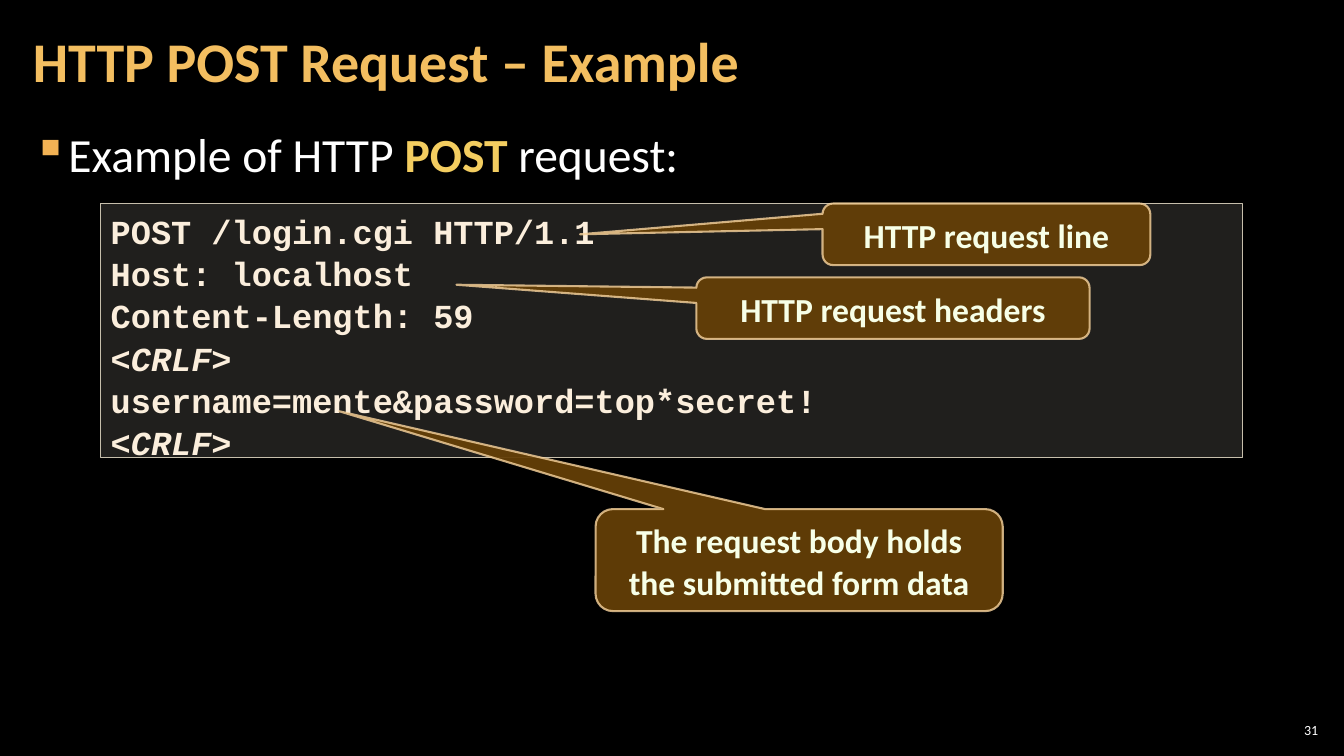
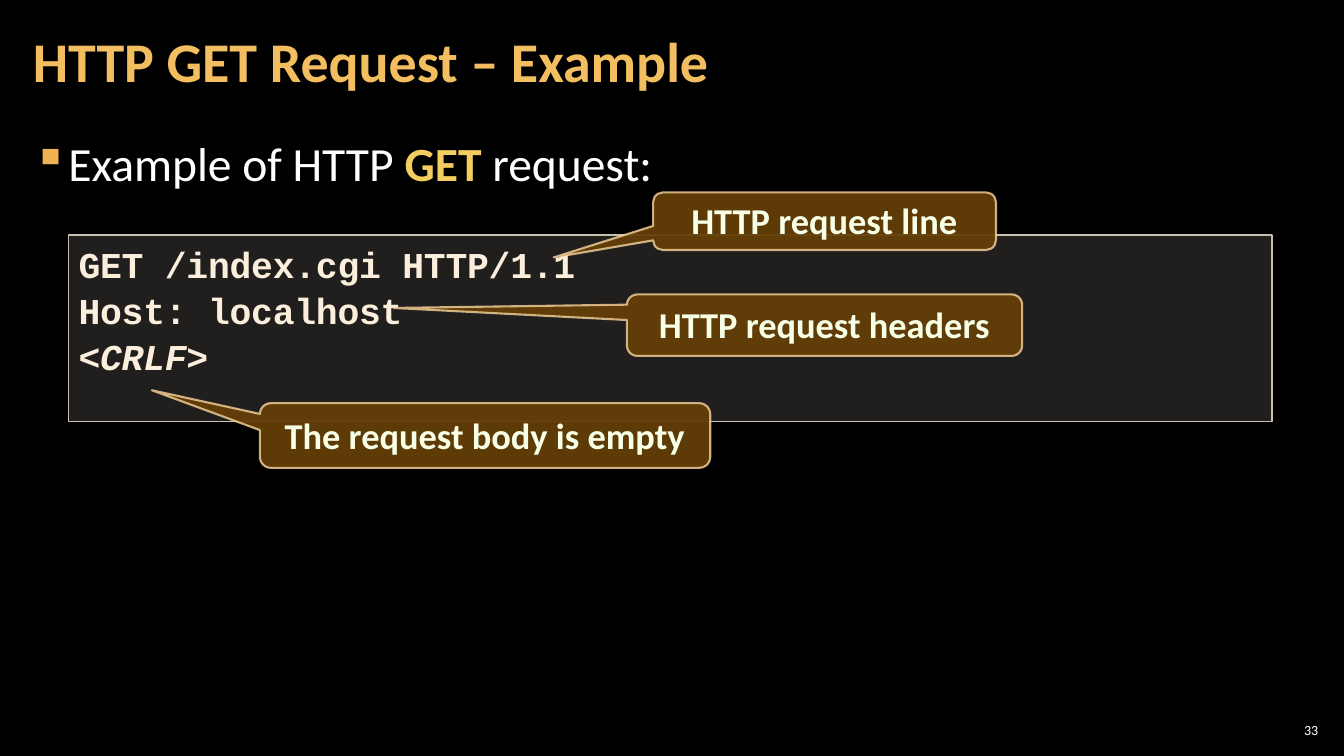
from lxml.etree import SubElement
from pptx import Presentation
from pptx.dml.color import RGBColor
from pptx.enum.shapes import MSO_SHAPE
from pptx.enum.text import MSO_ANCHOR, PP_ALIGN
from pptx.oxml.ns import qn
from pptx.util import Cm, Pt

HEX = {
    "back": "000000", "text": "FFFFFF", "title": "F3BE60", "key": "F3CD60",
    "bullet": "F2B254", "code": "FBEEDC", "panel": "D9D5C7", "edge": "C7BFAC",
    "note": "F7FFE7", "brown": "643F07", "rim": "F8D49E",
}
TITLE = {"name": "Calibri", "size": Pt(40), "bold": True, "color": "title"}
BODY = {"name": "Calibri", "size": Pt(34), "bold": False, "color": "text"}
KEY = {**BODY, "bold": True, "color": "key"}
PAGE = {"name": "Calibri", "size": Pt(10), "color": "text"}
CODE = {"name": "Courier New", "bold": True, "color": "code"}
NOTE = {"name": "Calibri", "bold": True, "color": "note"}

# Boxes are left, top, width, height in cm; a tip is relative to its callout.
SLIDES = [
    {
        "page": "31", "verb": "POST", "top": 2.97, "size": 24, "spc": 0,
        "panel": (2.54, 5.13, 28.78, 6.4),
        "code": ["POST /login.cgi HTTP/1.1", "Host: localhost",
                 "Content-Length: 59", "<CRLF>",
                 "username=mente&password=top*secret!", "<CRLF>"],
        "notes": [
            ("HTTP request line", (20.73, 5.13, 8.26, 1.55), (-1.24, 0)),
            ("HTTP request headers", (17.55, 6.99, 9.91, 1.55), (-1.11, -0.38)),
            ("The request body holds the submitted form data",
             (15.01, 12.83, 10.26, 2.57), (-1.13, -1.46)),
        ],
    },
    {
        "page": "33", "verb": "GET", "top": 3.2, "size": 26, "spc": -20,
        "panel": (1.73, 5.92, 30.33, 4.7),
        "code": ["GET /index.cgi HTTP/1.1", "Host: localhost", "<CRLF>"],
        "notes": [
            ("HTTP request line", (16.46, 4.85, 8.64, 1.45), (-0.79, 0.63)),
            ("HTTP request headers", (15.8, 7.42, 9.96, 1.55), (-1.09, -0.28)),
            ("The request body is empty", (6.55, 10.16, 11.35, 1.63),
             (-0.74, -0.7)),
        ],
    },
]


def rgb(name):
    return RGBColor.from_string(HEX[name])


def add_run(para, text, form):
    run = para.add_run()
    run.text = text
    for key, val in form.items():
        if key == "color":
            run.font.color.rgb = rgb(val)
        else:
            setattr(run.font, key, val)
    return run


def add_text(slide, box, pad, anchor):
    """Add a wrapping text box and return its first paragraph."""
    frame = slide.shapes.add_textbox(*map(Cm, box)).text_frame
    frame.word_wrap = True
    frame.vertical_anchor = anchor
    frame.margin_left = frame.margin_right = Cm(pad)
    frame.margin_top = frame.margin_bottom = Cm(0.1)
    return frame.paragraphs[0]


def add_bullet(para):
    props = para._p.get_or_add_pPr()
    props.set("marL", str(Cm(0.84)))
    props.set("indent", str(-Cm(0.84)))
    tint = SubElement(props, qn("a:buClr"))
    SubElement(tint, qn("a:srgbClr"), val=HEX["bullet"])
    SubElement(props, qn("a:buChar"), char="▪")


def add_box(slide, kind, box, fill, line, width, alphas):
    """Add a shape whose fill and line have the given opacities in percent."""
    shape = slide.shapes.add_shape(kind, *map(Cm, box))
    shape.shadow.inherit = False
    shape.fill.solid()
    shape.fill.fore_color.rgb = rgb(fill)
    shape.line.color.rgb = rgb(line)
    shape.line.width = Pt(width)
    for part, alpha in zip(("a:solidFill", "a:ln/a:solidFill"), alphas):
        steps = [qn(tag) for tag in f"{part}/a:srgbClr".split("/")]
        tint = shape._element.spPr.find("/".join(steps))
        SubElement(tint, qn("a:alpha"), val=str(alpha * 1000))
    shape.text_frame.word_wrap = True
    return shape


def add_code(slide, data):
    frame = add_box(slide, MSO_SHAPE.RECTANGLE, data["panel"],
                    "panel", "edge", 1, (15, 100)).text_frame
    frame.vertical_anchor = MSO_ANCHOR.TOP
    for num, line in enumerate(data["code"]):
        para = frame.add_paragraph() if num else frame.paragraphs[0]
        para.alignment = PP_ALIGN.LEFT
        para.line_spacing = 1.05
        form = {**CODE, "size": Pt(data["size"]), "italic": line == "<CRLF>"}
        run = add_run(para, line, form)
        run._r.get_or_add_rPr().set("spc", str(data["spc"]))


def add_note(slide, text, box, tip, size):
    shape = add_box(slide, MSO_SHAPE.ROUNDED_RECTANGULAR_CALLOUT, box,
                    "brown", "rim", 1.5, (95, 80))
    for num, val in enumerate((*tip, 0.17)):
        shape.adjustments[num] = val
    shape.text_frame.vertical_anchor = MSO_ANCHOR.MIDDLE
    para = shape.text_frame.paragraphs[0]
    para.alignment = PP_ALIGN.CENTER
    para.line_spacing = Pt(30)
    add_run(para, text, {**NOTE, "size": Pt(size)})


def add_slide(deck, data):
    slide = deck.slides.add_slide(deck.slide_layouts[6])
    verb = data["verb"]

    para = add_text(slide, (32.13, 18.14, 1.19, 0.53), 0.1, MSO_ANCHOR.MIDDLE)
    para.alignment = PP_ALIGN.RIGHT
    add_run(para, data["page"], PAGE)

    para = add_text(slide, (0.53, data["top"], 32.79, 15.47), 0.3, MSO_ANCHOR.TOP)
    add_bullet(para)
    para.line_spacing = 1.05
    for text, form in (("Example of HTTP ", BODY), (verb, KEY),
                       (" request:", BODY)):
        add_run(para, text, form)

    para = add_text(slide, (0.53, 0.1, 26.59, 3.07), 0.3, MSO_ANCHOR.MIDDLE)
    para.line_spacing = 0.9
    add_run(para, f"HTTP {verb} Request – Example", TITLE)

    add_code(slide, data)
    for note in data["notes"]:
        add_note(slide, *note, data["size"])


def main():
    deck = Presentation()
    deck.slide_width, deck.slide_height = Cm(33.87), Cm(19.05)
    back = deck.slide_master.background.fill
    back.solid()
    back.fore_color.rgb = rgb("back")
    for data in SLIDES:
        add_slide(deck, data)
    deck.save("out.pptx")


if __name__ == "__main__":
    main()
